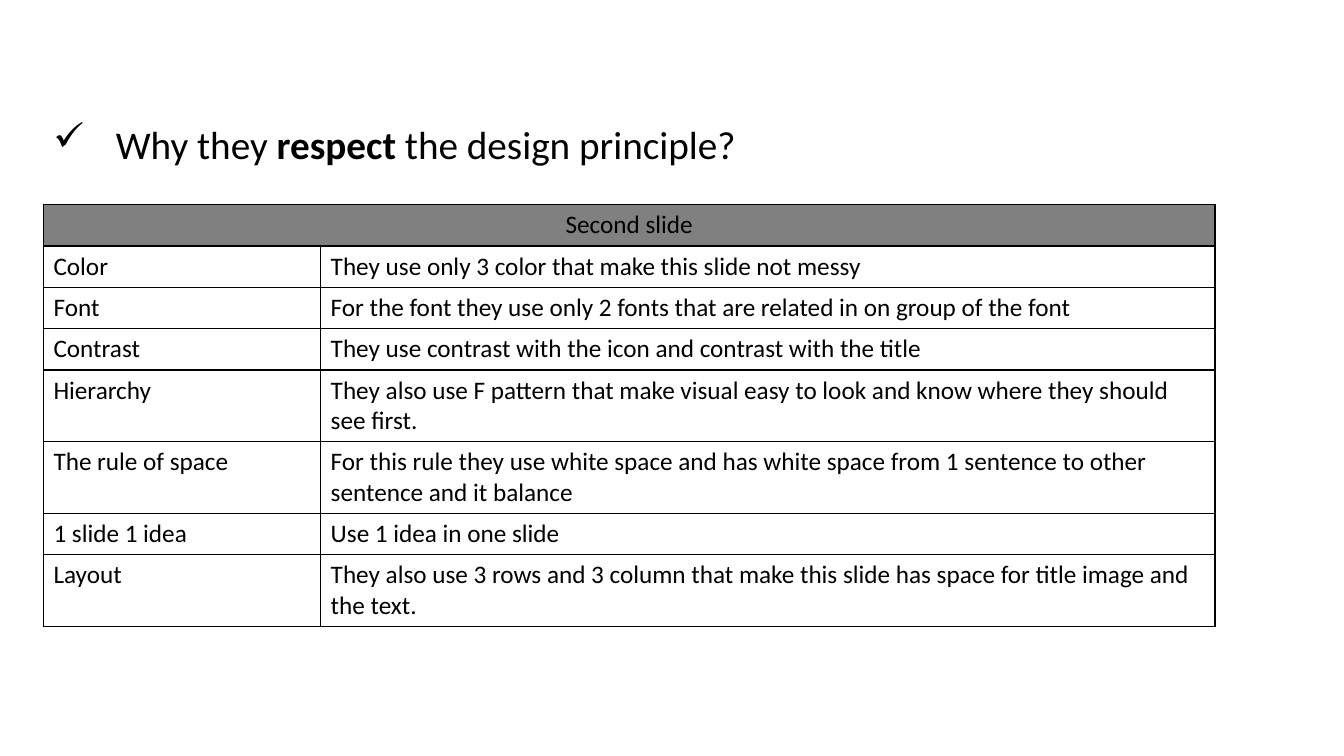
from dataclasses import dataclass

from lxml.etree import SubElement
from pptx import Presentation
from pptx.dml.color import RGBColor
from pptx.enum.text import MSO_AUTO_SIZE, PP_ALIGN as Align
from pptx.oxml import parse_xml
from pptx.oxml.ns import nsdecls, qn
from pptx.slide import Slide
from pptx.table import _Cell as Cell
from pptx.text.text import Font
from pptx.util import Emu, Inches, Pt

SLIDE_WIDTH, SLIDE_HEIGHT = Inches(13.33), Inches(7.5)


@dataclass(frozen=True)
class Theme:
    font: str = "Calibri"
    ink: str = "000000"
    header: str = "808080"
    question_size: int = 28
    table_size: int = 18
    border: int = 1


@dataclass(frozen=True)
class Area:
    """A rectangle in percent of the slide's width and height."""
    left: float
    top: float
    width: float
    height: float

    def emu(self) -> tuple[Emu, Emu, Emu, Emu]:
        return (across(self.left), down(self.top),
                across(self.width), down(self.height))


@dataclass(frozen=True)
class Principle:
    name: str
    reason: str


THEME = Theme()
LEFT_MARGIN = 3.23
NAME_COLUMN, REASON_COLUMN = 20.63, 66.54
ROW_HEIGHT = 5.47
QUESTION_AREA = Area(LEFT_MARGIN, 15.2, 58.66, 7.6)
TABLE_TOP = 27.07
QUESTION = (("Why they ", False), ("respect", True), (" the design principle?", False))
HEADING = "Second slide"
PRINCIPLES = (
    Principle("Color", "They use only 3 color that make this slide not messy"),
    Principle("Font", "For the font they use only 2 fonts that are related in on group of the font"),
    Principle("Contrast", "They use contrast with the icon and contrast with the title"),
    Principle("Hierarchy", "They also use F pattern that make visual easy to look and know "
                           "where they should see first."),
    Principle("The rule of space", "For this rule they use white space and has white space from "
                                   "1 sentence to other sentence and it balance"),
    Principle("1 slide 1 idea", "Use 1 idea in one slide"),
    Principle("Layout", "They also use 3 rows and 3 column that make this slide has space "
                        "for title image and the text."),
)


def across(percent: float) -> Emu:
    return Emu(round(SLIDE_WIDTH * percent / 100))


def down(percent: float) -> Emu:
    return Emu(round(SLIDE_HEIGHT * percent / 100))


def style_font(font: Font, size: int, bold: bool = False) -> None:
    font.name = THEME.font
    font.size = Pt(size)
    font.bold = bold
    font.color.rgb = RGBColor.from_string(THEME.ink)


def add_borders(cell: Cell) -> None:
    properties = cell._tc.get_or_add_tcPr()
    for position, side in enumerate("LRTB"):
        properties.insert(position, parse_xml(
            f'<a:ln{side} {nsdecls("a")} w="{Pt(THEME.border)}"><a:solidFill>'
            f'<a:srgbClr val="{THEME.ink}"/></a:solidFill></a:ln{side}>'))


def fill_cell(cell: Cell, text: str) -> None:
    cell.text_frame.text = text
    cell.fill.background()
    for run in cell.text_frame.paragraphs[0].runs:
        style_font(run.font, THEME.table_size)
    add_borders(cell)


def add_question(slide: Slide) -> None:
    frame = slide.shapes.add_textbox(*QUESTION_AREA.emu()).text_frame
    frame.word_wrap = True
    frame.auto_size = MSO_AUTO_SIZE.SHAPE_TO_FIT_TEXT
    question = frame.paragraphs[0]
    properties = question._p.get_or_add_pPr()
    indent = Inches(0.62)
    properties.set("marL", str(indent))
    properties.set("indent", str(-indent))
    SubElement(properties, qn("a:buChar"), char="✓")
    for words, bold in QUESTION:
        run = question.add_run()
        run.text = words
        style_font(run.font, THEME.question_size, bold)


def add_principles(slide: Slide) -> None:
    rows = [(HEADING, "")] + [(item.name, item.reason) for item in PRINCIPLES]
    columns = (NAME_COLUMN, REASON_COLUMN)
    area = Area(LEFT_MARGIN, TABLE_TOP, sum(columns), ROW_HEIGHT * len(rows))
    table = slide.shapes.add_table(len(rows), len(columns), *area.emu()).table
    table.first_row = table.horz_banding = False
    for column, width in zip(table.columns, columns):
        column.width = across(width)
    for row, texts in zip(table.rows, rows):
        row.height = down(ROW_HEIGHT)
        for cell, text in zip(row.cells, texts):
            fill_cell(cell, text)
    heading = table.cell(0, 0)
    heading.merge(table.cell(0, 1))
    heading.fill.solid()
    heading.fill.fore_color.rgb = RGBColor.from_string(THEME.header)
    heading.text_frame.paragraphs[0].alignment = Align.CENTER


def main() -> None:
    deck = Presentation()
    deck.slide_width, deck.slide_height = SLIDE_WIDTH, SLIDE_HEIGHT
    slide = deck.slides.add_slide(deck.slide_layouts[6])
    add_principles(slide)
    add_question(slide)
    deck.save("out.pptx")


if __name__ == "__main__":
    main()
